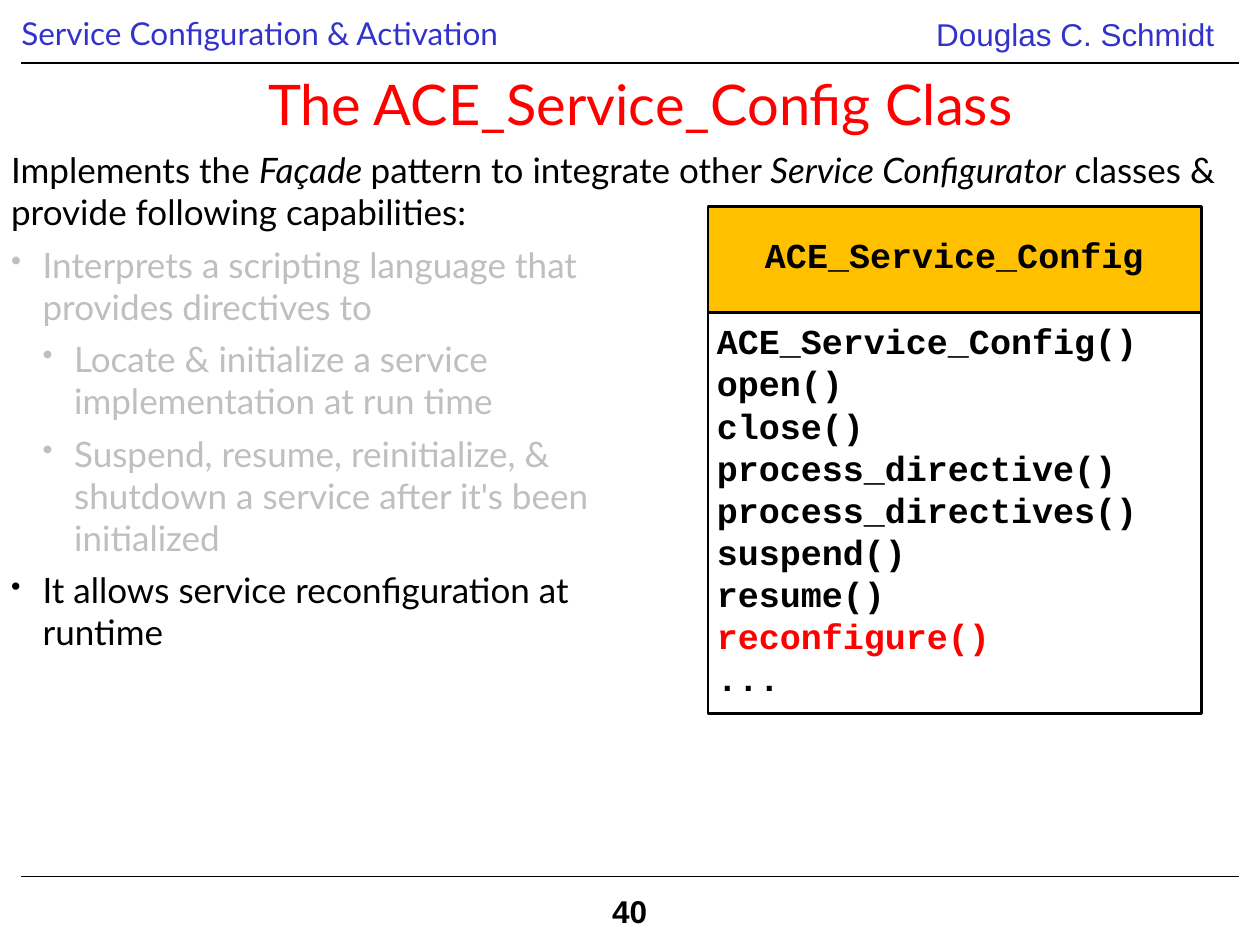
from pptx import Presentation
from pptx.util import Pt
from pptx.dml.color import RGBColor
from pptx.enum import shapes, text
from pptx.oxml.ns import qn
from lxml import etree

BLUE, RED, BLACK, GREY = "3333CC", "FF0000", "000000", "BFBFBF"
WHITE, GOLD = "FFFFFF", "FFC000"
LEFT, MID = text.PP_ALIGN.LEFT, text.PP_ALIGN.CENTER


def color(code):
    return RGBColor.from_string(code)


class Deck:
    sans, plain, mono = "Lato", "Arial", "Courier New"

    def __init__(self, wide, high):
        self.prs = Presentation()
        self.prs.slide_width, self.prs.slide_height = Pt(wide), Pt(high)
        self.slide = self.prs.slides.add_slide(self.prs.slide_layouts[6])

    def line(self, x1, y1, x2, y2):
        rule = self.slide.shapes.add_connector(
            shapes.MSO_CONNECTOR.STRAIGHT, Pt(x1), Pt(y1), Pt(x2), Pt(y2))
        rule.line.color.rgb = color(BLACK)
        rule.line.width = Pt(0.75)
        etree.SubElement(rule._element.spPr, qn("a:effectLst"))

    def rect(self, x, y, w, h, fill):
        box = self.slide.shapes.add_shape(
            shapes.MSO_SHAPE.RECTANGLE, Pt(x), Pt(y), Pt(w), Pt(h))
        box.shadow.inherit = False
        box.fill.solid()
        box.fill.fore_color.rgb = color(fill)
        box.line.color.rgb = color(BLACK)
        box.line.width = Pt(1.5)

    def text(self, x, y, w, h, inset=7.2, wrap=True, fill=None):
        box = self.slide.shapes.add_textbox(Pt(x), Pt(y), Pt(w), Pt(h))
        if fill:
            box.fill.solid()
            box.fill.fore_color.rgb = color(fill)
        frame = box.text_frame
        frame.word_wrap = wrap
        frame.margin_left = frame.margin_right = Pt(inset)
        return frame

    def para(self, frame, runs, size, font, tint=BLACK, bold=False,
             align=LEFT, before=0):
        """Add a paragraph from (words, italic) runs."""
        par = frame.paragraphs[0]
        if par.runs:
            par = frame.add_paragraph()
        par.alignment = align
        par.space_before = Pt(before)
        for words, slant in runs:
            for i, part in enumerate(words.split("\n")):
                if i:
                    par.add_line_break()
                run = par.add_run()
                run.text = part
                run.font.size, run.font.name = Pt(size), font
                run.font.bold, run.font.italic = bold, slant
                run.font.color.rgb = color(tint)
        return par

    def bullet(self, par, left, scale):
        props = par._p.get_or_add_pPr()
        props.set("marL", str(Pt(left)))
        props.set("indent", str(Pt(-18)))
        etree.SubElement(props, qn("a:buSzPct"), val=str(scale * 1000))
        etree.SubElement(props, qn("a:buChar"), char="•")


def main():
    deck = Deck(720, 540)

    # Header and footer
    head = deck.text(12.24, 4.3, 426, 29, inset=0)
    deck.para(head, [("Service Configuration & Activation", False)],
              18, deck.sans, BLUE)
    for y in (36, 501):
        deck.line(12.24, y, 707.76, y)
    name = deck.text(527.8, 5, 180.7, 29)
    deck.para(name, [("Douglas C. Schmidt", False)], 18, deck.plain, BLUE)
    page = deck.text(342.7, 506.2, 36.7, 29, wrap=False, fill=WHITE)
    deck.para(page, [("40", False)], 18, deck.plain, bold=True)

    # Title
    title = deck.text(44.6, 23, 643, 72)
    title.vertical_anchor = text.MSO_ANCHOR.MIDDLE
    deck.para(title, [("The ACE_Service_Config Class", False)],
              32, deck.sans, RED, align=MID)

    # Body
    body = deck.text(-0.7, 81.4, 715, 298)
    intro = [("Implements the ", False), ("Façade ", True),
             ("pattern to integrate other ", False),
             ("Service Configurator", True),
             (" classes & provide following capabilities:", False)]
    deck.para(body, intro, 20, deck.sans, before=6)
    points = [
        ("Interprets a scripting language that \nprovides directives to",
         18, 85, GREY),
        ("Locate & initialize a service \nimplementation at run time",
         36, 85, GREY),
        ("Suspend, resume, reinitialize, & \nshutdown a service after "
         "it's been \ninitialized", 36, 85, GREY),
        ("It allows service reconfiguration at \nruntime", 18, 80, BLACK),
    ]
    for words, left, scale, tint in points:
        par = deck.para(body, [(words, False)], 20, deck.sans, tint, before=6)
        deck.bullet(par, left, scale)

    # Class box: methods, then name
    deck.rect(404.6, 178.6, 282.2, 229, WHITE)
    calls = deck.text(402.5, 179.3, 291.6, 216.7)
    for call in ("ACE_Service_Config()", "open()", "close()",
                 "process_directive()", "process_directives()", "suspend()",
                 "resume()", "reconfigure()", "..."):
        tint = RED if call == "reconfigure()" else BLACK
        deck.para(calls, [(call, False)], 20, deck.mono, tint, bold=True)
    deck.rect(404.6, 118.1, 282.2, 60.5, GOLD)
    label = deck.text(429.8, 129.6, 231.1, 36.7)
    deck.para(label, [("ACE_Service_Config", False)], 20, deck.mono,
              bold=True, align=MID)

    deck.prs.save("out.pptx")


if __name__ == "__main__":
    main()
